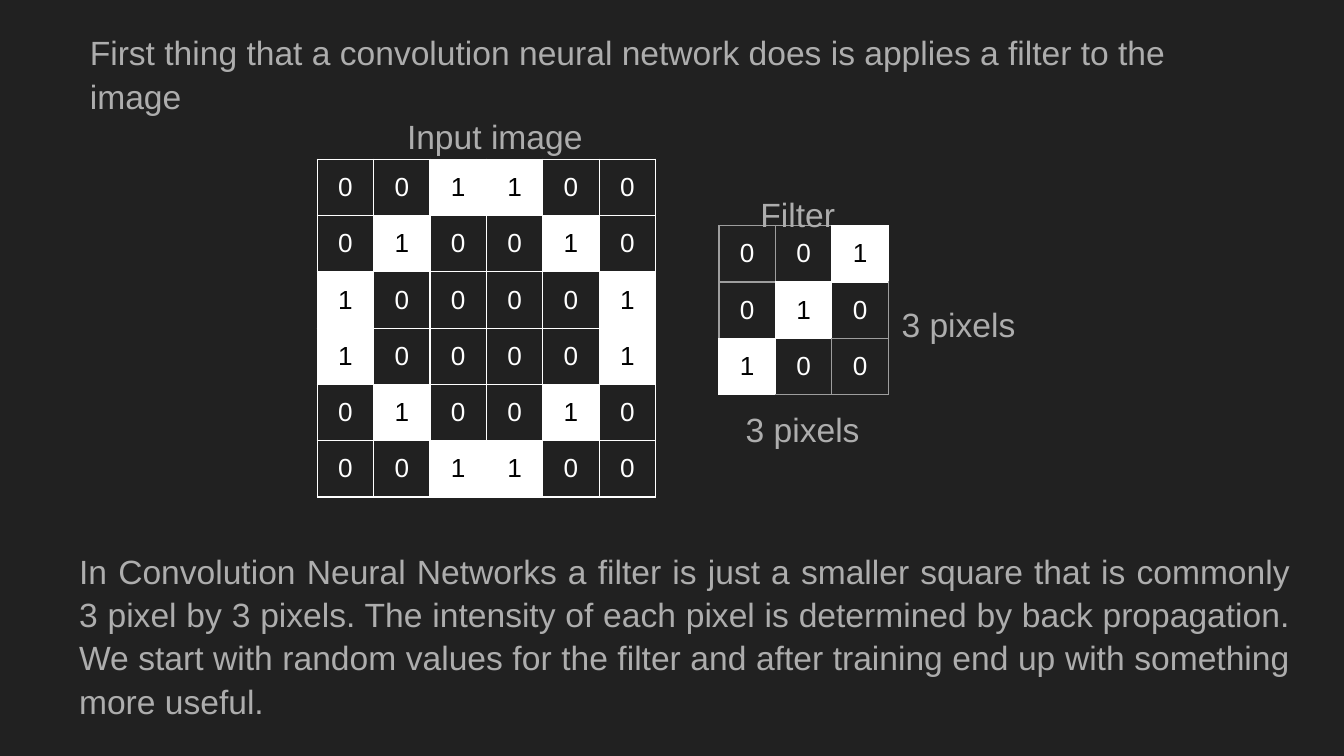
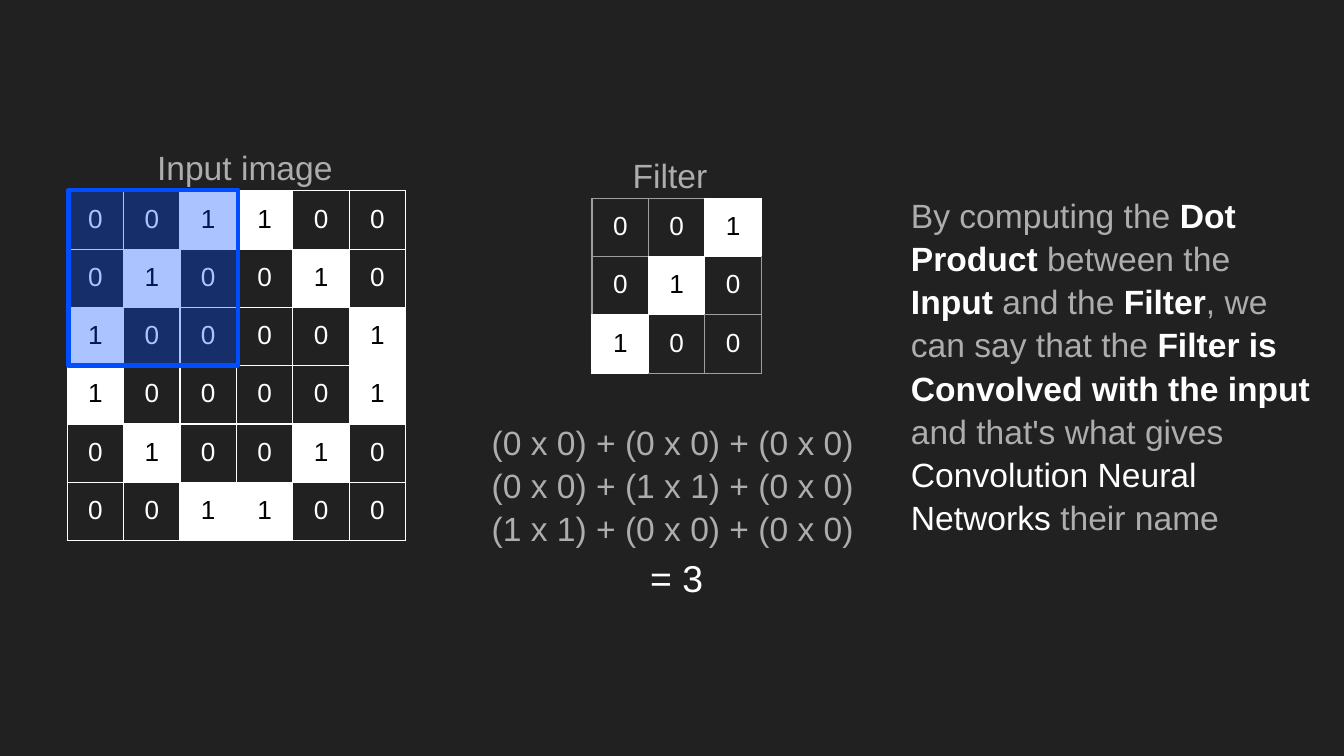
from lxml import etree
from pptx import Presentation
from pptx.dml.color import RGBColor
from pptx.enum.shapes import MSO_SHAPE
from pptx.enum.text import MSO_ANCHOR, PP_ALIGN
from pptx.oxml.ns import qn
from pptx.util import Emu, Pt

PX = 4572  # 200 px to the inch
SLIDE_SIZE = (2000, 1125)
INSET = 20
COLUMN, ROW = 84, 83

FONT = "Arial"
LINE_SPACING = 1.07
BACKGROUND = RGBColor(0x21, 0x21, 0x21)
GREY = RGBColor(0xAD, 0xAD, 0xAD)
FILTER_GRID = RGBColor(0x9E, 0x9E, 0x9E)
WHITE = RGBColor(0xFF, 0xFF, 0xFF)
BLACK = RGBColor(0x00, 0x00, 0x00)
BLUE = RGBColor(0x00, 0x4E, 0xFF)

LEFT, CENTER, JUSTIFY = PP_ALIGN.LEFT, PP_ALIGN.CENTER, PP_ALIGN.JUSTIFY
TOP, MIDDLE = MSO_ANCHOR.TOP, MSO_ANCHOR.MIDDLE
RECTANGLE = MSO_SHAPE.RECTANGLE

INPUT_PIXELS = ["001100", "010010", "100001", "100001", "010010", "001100"]
FILTER_PIXELS = ["001", "010", "100"]

INTRO = "First thing that a convolution neural network does is applies a filter to the image"
FILTER_NOTE = (
    "In Convolution Neural Networks a filter is just a smaller square that is "
    "commonly 3 pixel by 3 pixels. The intensity of each pixel is determined by "
    "back propagation. We start with random values for the filter and after "
    "training end up with something more useful."
)
PRODUCTS = [
    "(0 x 0) + (0 x 0) + (0 x 0)",
    "(0 x 0) + (1 x 1) + (0 x 0)",
    "(1 x 1) + (0 x 0) + (0 x 0)",
]
# Each run: text, colour, bold
CONCLUSION = [
    ("By computing the ", GREY, False),
    ("Dot Product", WHITE, True),
    (" between the ", GREY, False),
    ("Input ", WHITE, True),
    ("and the ", GREY, False),
    ("Filter", WHITE, True),
    (", we can say that the ", GREY, False),
    ("Filter is Convolved with the input", WHITE, True),
    (" and that's what gives ", GREY, False),
    ("Convolution Neural Networks", WHITE, False),
    (" their name", GREY, False),
]

# Each text: box (left, top, width, height), paragraphs, format
FILTER_SLIDE = {
    "input_at": (472, 237),
    "filter_at": (1070, 336),
    "texts": [
        ((114, 24, 1776, 148), [INTRO], {}),
        ((1112, 264, 168, 56), ["Filter"], {}),
        ((586, 148, 342, 78), ["Input image"], {}),
        ((98, 796, 1842, 238), [FILTER_NOTE], {"align": JUSTIFY}),
        ((1090, 584, 240, 78), ["3 pixels"], {}),
        ((1322, 428, 240, 78), ["3 pixels"], {}),
    ],
}
DOT_PRODUCT_SLIDE = {
    "input_at": (100, 284),
    "filter_at": (881, 295),
    "texts": [
        ((922, 206, 168, 56), ["Filter"], {}),
        ((214, 194, 342, 78), ["Input image"], {}),
        ((712, 604, 590, 238), PRODUCTS, {}),
        ((930, 826, 154, 62), ["= 3"],
         {"size": 20, "color": WHITE, "align": CENTER, "anchor": MIDDLE}),
        ((1336, 266, 640, 540), [CONCLUSION], {}),
    ],
}
WINDOW_BOX = (102, 283, 252, 261)


def px(*lengths):
    return [Emu(length * PX) for length in lengths]


def write(paragraph, content, *, size=18, color=GREY, align=LEFT, spacing=LINE_SPACING):
    """Fill a paragraph with a string or a list of (text, colour, bold) runs."""
    paragraph.alignment = align
    paragraph.line_spacing = spacing
    runs = [(content, color, False)] if isinstance(content, str) else content
    for text, run_color, bold in runs:
        run = paragraph.add_run()
        run.text = text
        run.font.name = FONT
        run.font.size = Pt(size)
        run.font.bold = bold
        run.font.color.rgb = run_color


def set_insets(holder):
    holder.margin_left, holder.margin_top, holder.margin_right, holder.margin_bottom = px(*[INSET] * 4)


def add_text(slide, box, paragraphs, *, anchor=TOP, **text_format):
    frame = slide.shapes.add_textbox(*px(*box)).text_frame
    frame.word_wrap = True
    frame.vertical_anchor = anchor
    set_insets(frame)
    for index, content in enumerate(paragraphs):
        paragraph = frame.add_paragraph() if index else frame.paragraphs[0]
        write(paragraph, content, **text_format)


def add_border(cell, side, color):
    properties = cell._tc.get_or_add_tcPr()
    line = etree.Element(qn(f"a:ln{side}"), w=str(Pt(0.75)))
    fill = etree.SubElement(line, qn("a:solidFill"))
    etree.SubElement(fill, qn("a:srgbClr"), val=str(color))
    properties.insert("LRTB".index(side), line)


def add_pixels(slide, position, pixels, grid_color):
    """Draw a pixel table: 1 is a white cell, and edges of white cells are white."""
    rows, columns = len(pixels), len(pixels[0])
    size = (columns * COLUMN, rows * ROW)
    table = slide.shapes.add_table(rows, columns, *px(*position, *size)).table
    table.first_row = table.horz_banding = False

    def lit(row, column):
        return 0 <= row < rows and 0 <= column < columns and pixels[row][column] == "1"

    for row, values in enumerate(pixels):
        for column, value in enumerate(values):
            cell = table.cell(row, column)
            set_insets(cell)
            is_lit = lit(row, column)
            if is_lit:
                cell.fill.solid()
                cell.fill.fore_color.rgb = WHITE
            else:
                cell.fill.background()
            write(cell.text_frame.paragraphs[0], value, size=14,
                  color=BLACK if is_lit else WHITE, align=CENTER, spacing=1.0)
            neighbours = {"L": (row, column - 1), "R": (row, column + 1),
                          "T": (row - 1, column), "B": (row + 1, column)}
            for side, neighbour in neighbours.items():
                add_border(cell, side, WHITE if is_lit or lit(*neighbour) else grid_color)


def add_window(slide):
    """Mark the input pixels that the filter covers."""
    window = slide.shapes.add_shape(RECTANGLE, *px(*WINDOW_BOX))
    window.shadow.inherit = False
    window.fill.solid()
    window.fill.fore_color.rgb = BLUE
    tint = window._element.spPr.find(qn("a:solidFill")).find(qn("a:srgbClr"))
    etree.SubElement(tint, qn("a:alpha"), val="33000")
    window.line.color.rgb = BLUE
    window.line.width = Pt(2.25)


def add_slide(presentation, content):
    slide = presentation.slides.add_slide(presentation.slide_layouts[6])
    slide.background.fill.solid()
    slide.background.fill.fore_color.rgb = BACKGROUND
    add_pixels(slide, content["input_at"], INPUT_PIXELS, WHITE)
    add_pixels(slide, content["filter_at"], FILTER_PIXELS, FILTER_GRID)
    for box, paragraphs, text_format in content["texts"]:
        add_text(slide, box, paragraphs, **text_format)
    return slide


def main():
    presentation = Presentation()
    presentation.slide_width, presentation.slide_height = px(*SLIDE_SIZE)
    add_slide(presentation, FILTER_SLIDE)
    add_window(add_slide(presentation, DOT_PRODUCT_SLIDE))
    presentation.save("out.pptx")


if __name__ == "__main__":
    main()
